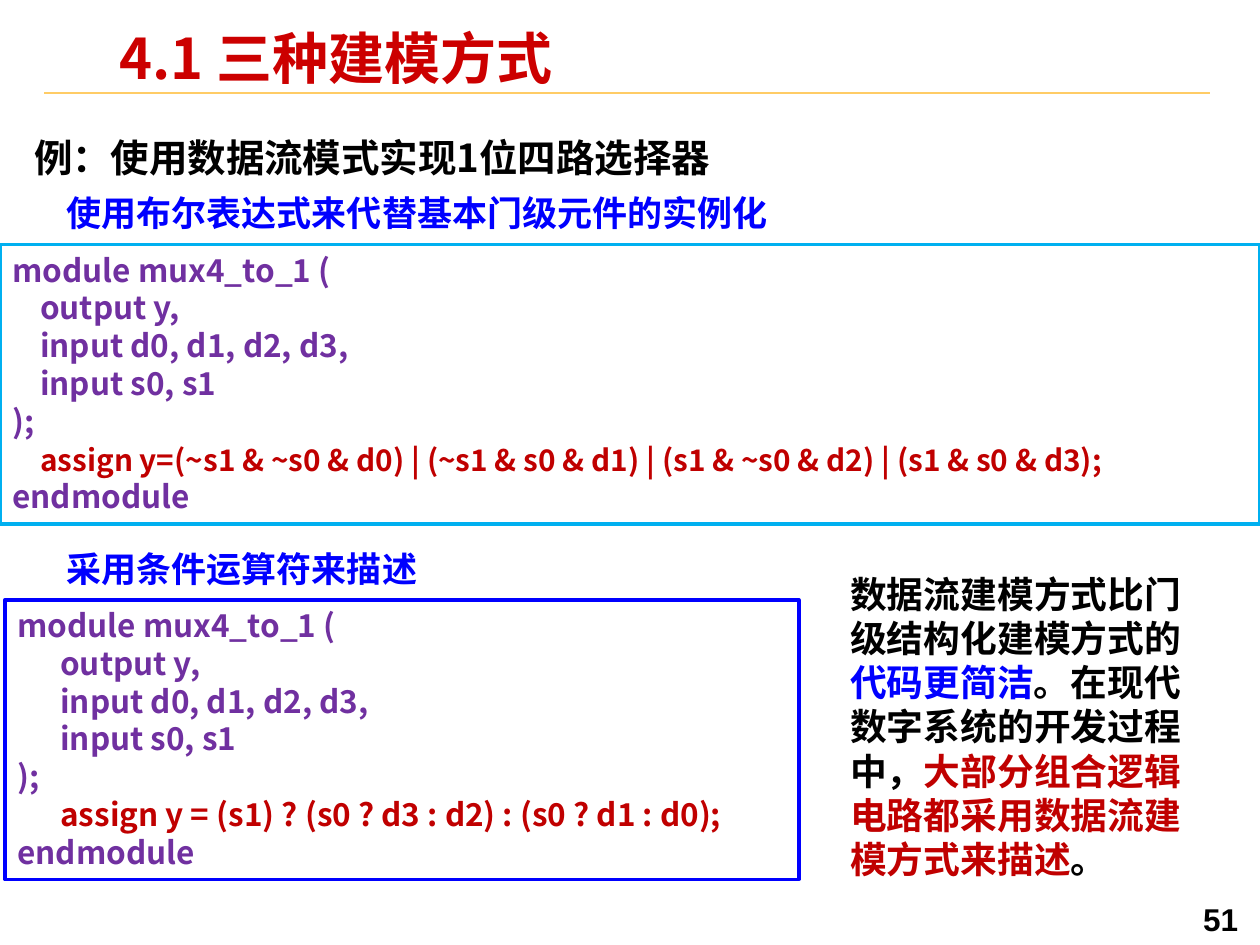
import pptx
import pptx.util
import pptx.dml.color
import pptx.enum.shapes
import pptx.enum.text
import pptx.oxml.ns
import lxml.etree

Inches = pptx.util.Inches
Pt = pptx.util.Pt
CJK = "Noto Sans CJK SC"
PURPLE, RED, BLUE, BLACK = "7030A0", "C00000", "0000FF", "000000"


def color(value):
    return pptx.dml.color.RGBColor.from_string(value)


def write(paragraph, pieces, size, pitch, face=CJK):
    paragraph.alignment = pptx.enum.text.PP_ALIGN.LEFT
    paragraph.line_spacing = Pt(pitch)
    paragraph.font.size = Pt(size)
    paragraph.font.bold = True
    paragraph.font.name = face
    for words, ink in pieces:
        run = paragraph.add_run()
        run.text = words
        run.font.color.rgb = color(ink)
        run.font.name = face
        east_asian = lxml.etree.SubElement(run.font._element, pptx.oxml.ns.qn("a:ea"))
        east_asian.set("typeface", face)


presentation = pptx.Presentation()
presentation.slide_width = Inches(10)
presentation.slide_height = Inches(7.5)
slide = presentation.slides.add_slide(presentation.slide_layouts[6])

title_rule = slide.shapes.add_connector(
    pptx.enum.shapes.MSO_CONNECTOR.STRAIGHT,
    Inches(0.35), Inches(0.74), Inches(9.6), Inches(0.74))
title_rule.line.color.rgb = color("FFCC66")
title_rule.line.width = Pt(1)
lxml.etree.SubElement(title_rule._element.spPr, pptx.oxml.ns.qn("a:effectLst"))

title = ((0.88, 0.21, 6.64, 0.52), [("4.1 三种建模方式", "CC0000")], 32, 36, CJK)
example = ((0.2, 0.96, 5.91, 0.6), [("例：使用数据流模式实现1位四路选择器", BLACK)], 22, 32, CJK)
page_number = ((9.45, 7.1, 0.55, 0.36), [("51", BLACK)], 18, 21, "Arial")
boolean_heading = ((0.43, 1.47, 7.56, 0.44),
                   [("使用布尔表达式来代替基本门级元件的实例化", BLUE)], 20, 24, CJK)
conditional_heading = ((0.43, 4.3, 3.01, 0.44),
                       [("采用条件运算符来描述", BLUE)], 20, 24, CJK)
summary = ((6.65, 4.49, 3.07, 2.57), [
    ("数据流建模方式比门级结构化建模方式的", BLACK),
    ("代码更简洁", BLUE),
    ("。在现代数字系统的开发过程中，", BLACK),
    ("大部分组合逻辑电路都采用数据流建模方式来描述", RED),
    ("。", BLACK),
], 21, 25.2, CJK)

for passage in (title, example, page_number, boolean_heading, conditional_heading, summary):
    bounds, pieces, size, pitch, face = passage
    frame = slide.shapes.add_textbox(*map(Inches, bounds)).text_frame
    frame.word_wrap = passage is not conditional_heading
    if passage in (title, example):
        frame.margin_left = frame.margin_right = Inches(0.07)
        frame.margin_top = frame.margin_bottom = Inches(0.03)
    if passage is title:
        frame.vertical_anchor = pptx.enum.text.MSO_ANCHOR.MIDDLE
    if passage is example:
        frame.paragraphs[0].space_before = Pt(2)
    write(frame.paragraphs[0], pieces, size, pitch, face)

boolean_assign = "assign y=(~s1 & ~s0 & d0) | (~s1 & s0 & d1) | (s1 & ~s0 & d2) | (s1 & s0 & d3);"
conditional_assign = "assign y = (s1) ? (s0 ? d3 : d2) : (s0 ? d1 : d0);"

for bounds, border, indent, assign, assign_size in (
    ((0, 1.94, 10, 2.22), "00B0F0", 0.22, boolean_assign, 17),
    ((0.04, 4.76, 6.3, 2.22), BLUE, 0.34, conditional_assign, 18),
):
    listing = slide.shapes.add_shape(
        pptx.enum.shapes.MSO_SHAPE.RECTANGLE, *map(Inches, bounds))
    listing.shadow.inherit = False
    listing.fill.solid()
    listing.fill.fore_color.rgb = color("FFFFFF")
    listing.line.color.rgb = color(border)
    listing.line.width = Pt(2)
    frame = listing.text_frame
    frame.word_wrap = True
    frame.vertical_anchor = pptx.enum.text.MSO_ANCHOR.TOP
    for row, (code, indented) in enumerate((
        ("module mux4_to_1 (", False),
        ("output y,", True),
        ("input d0, d1, d2, d3,", True),
        ("input s0, s1", True),
        (");", False),
        (assign, True),
        ("endmodule", False),
    )):
        paragraph = frame.add_paragraph() if row else frame.paragraphs[0]
        is_assign = code == assign
        write(paragraph, [(code, RED if is_assign else PURPLE)],
              assign_size if is_assign else 18, 21.6)
        if indented:
            paragraph._p.get_or_add_pPr().set("marL", str(Inches(indent)))

presentation.save("out.pptx")
